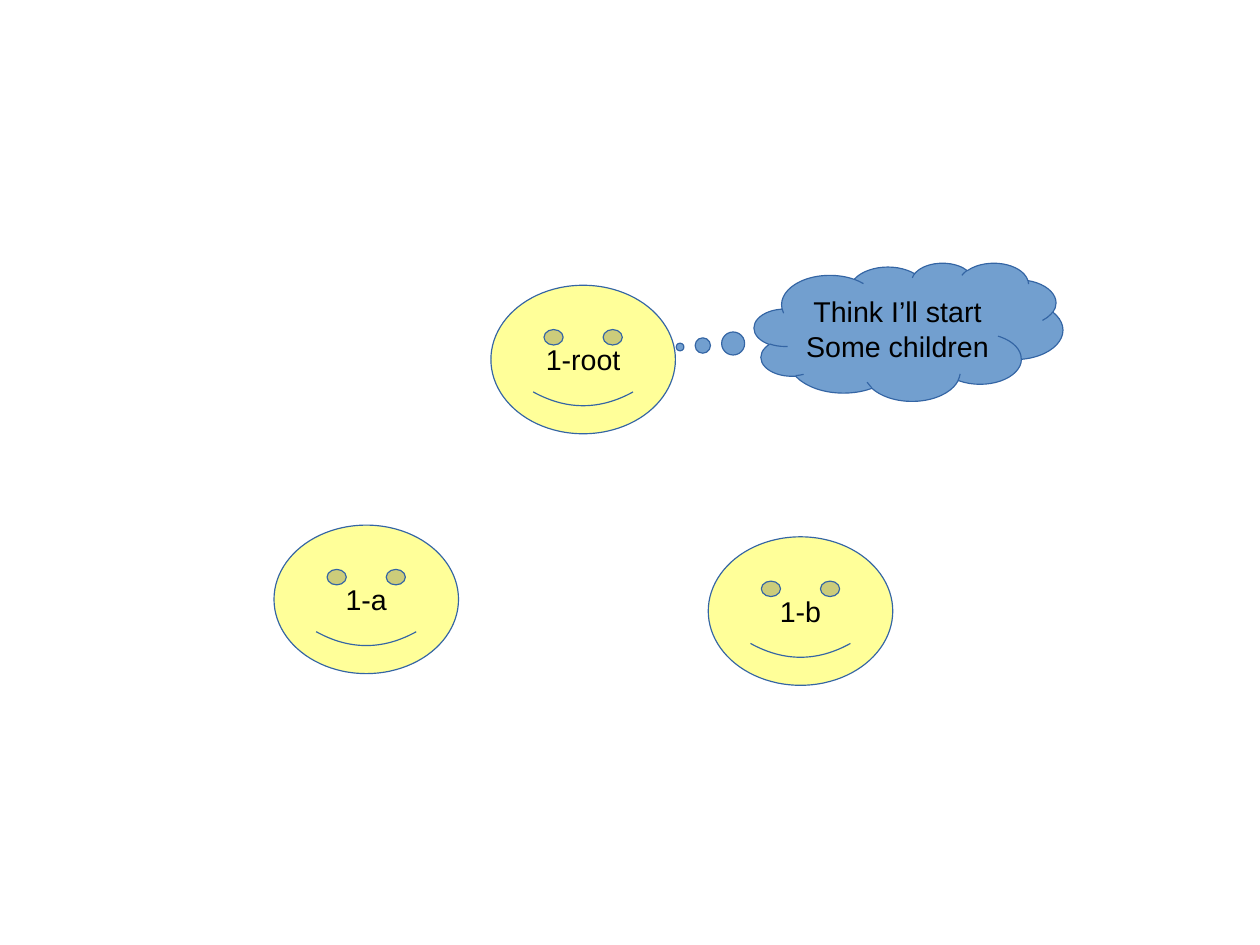
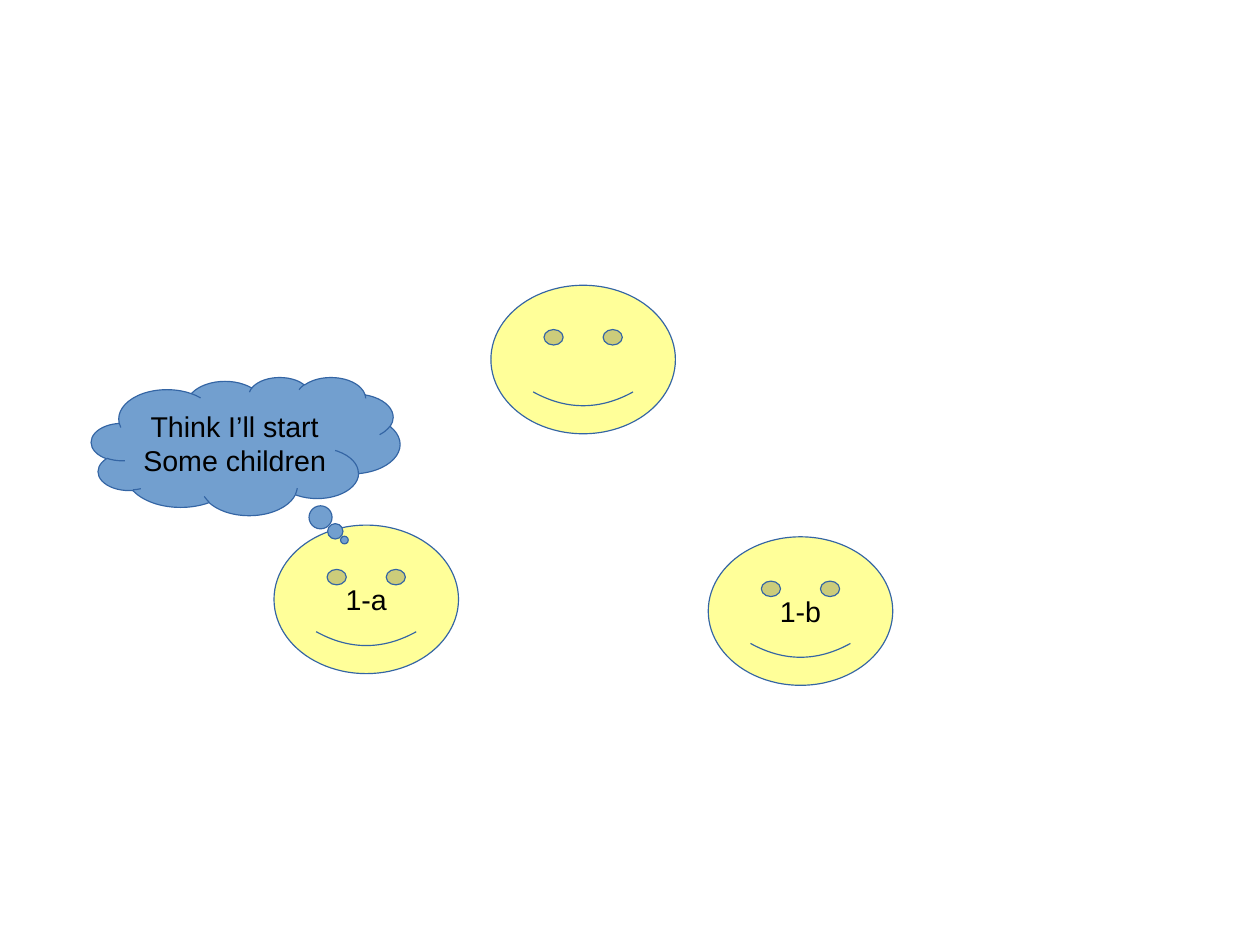
import pptx
import pptx.util
import pptx.dml.color
import pptx.enum.shapes
import pptx.enum.text

Cm = pptx.util.Cm
Pt = pptx.util.Pt
Preset = pptx.enum.shapes.MSO_SHAPE

COLORS = {"face": "FFFF99", "cloud": "729FCF", "outline": "3465A4", "text": "000000"}
FONT = "Arial"
FACE_SIZE = (4.1, 3.3)
CLOUD_SIZE = (6.86, 3.07)
SMILE = [0.093]
FACE_PLACES = {"root": (10.91, 6.34), "b": (15.74, 11.93), "a": (6.09, 11.67)}
THOUGHT = ["Think I’ll start", "Some children"]

SLIDES = [
    {
        "labels": {"root": ["1-root"], "b": ["1-b"], "a": ["1-a"]},
        "cloud": (16.76, 5.84),
        "tail": (-0.74, 0.11),
    },
    {
        "labels": {"root": [], "b": ["1-b"], "a": ["1-a"]},
        "cloud": (2.03, 8.38),
        "tail": (0.32, 0.68),
    },
]


def color(name):
    return pptx.dml.color.RGBColor.from_string(COLORS[name])


def add_figure(page, preset, place, size, fill, adjustments, lines):
    figure = page.shapes.add_shape(preset, *[Cm(length) for length in place + size])
    figure.shadow.inherit = False
    for index, value in enumerate(adjustments):
        figure.adjustments[index] = value
    figure.fill.solid()
    figure.fill.fore_color.rgb = color(fill)
    figure.line.color.rgb = color("outline")
    figure.line.width = Pt(0)
    if not lines:
        return
    frame = figure.text_frame
    frame.word_wrap = False
    frame.vertical_anchor = pptx.enum.text.MSO_ANCHOR.MIDDLE
    frame.text = "\n".join(lines)
    for para in frame.paragraphs:
        para.alignment = pptx.enum.text.PP_ALIGN.CENTER
        for span in para.runs:
            span.font.name = FONT
            span.font.size = Pt(18)
            span.font.color.rgb = color("text")


def main():
    deck = pptx.Presentation()
    deck.slide_width = Cm(28)
    deck.slide_height = Cm(21)
    for content in SLIDES:
        page = deck.slides.add_slide(deck.slide_layouts[6])
        for name, place in FACE_PLACES.items():
            add_figure(page, Preset.SMILEY_FACE, place, FACE_SIZE, "face",
                       SMILE, content["labels"][name])
        add_figure(page, Preset.CLOUD_CALLOUT, content["cloud"], CLOUD_SIZE, "cloud",
                   content["tail"], THOUGHT)
    deck.save("out.pptx")


if __name__ == "__main__":
    main()
